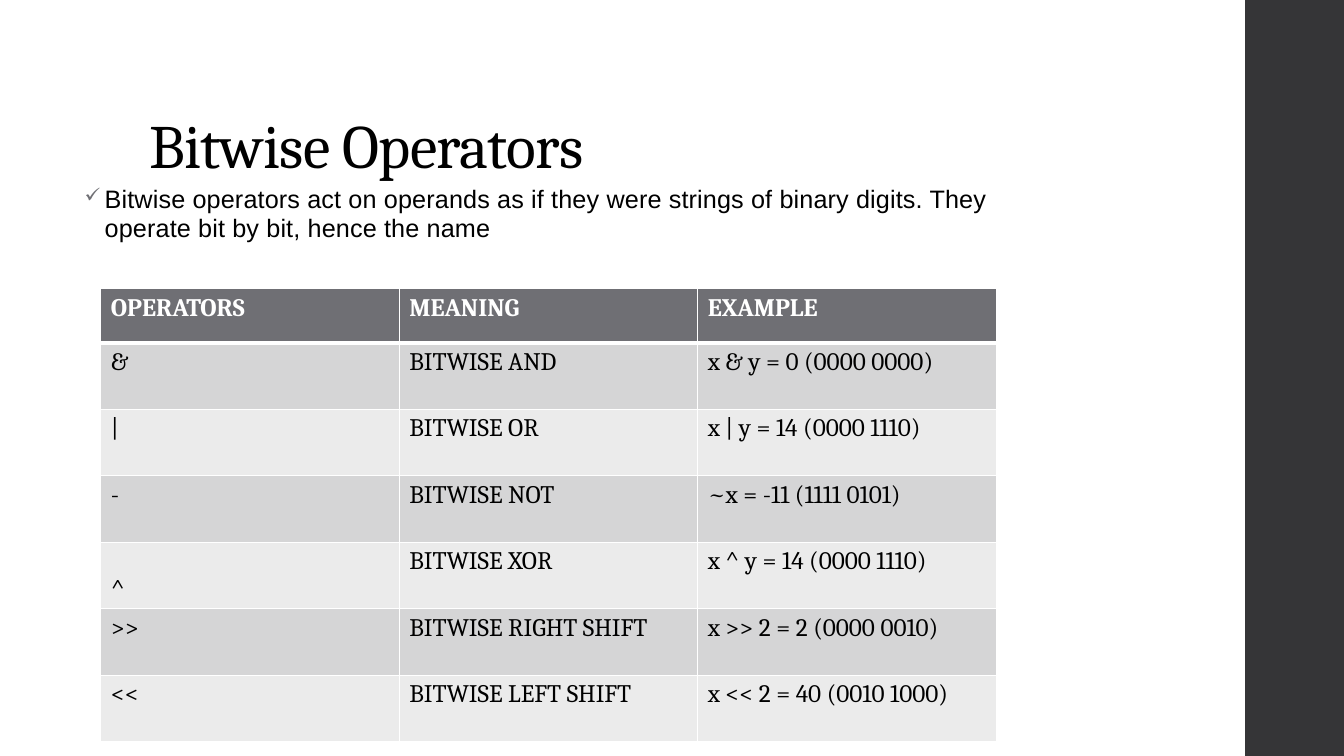
from lxml.etree import SubElement
from pptx import Presentation
from pptx.dml.color import RGBColor
from pptx.enum.shapes import MSO_SHAPE
from pptx.enum.text import MSO_ANCHOR, PP_ALIGN
from pptx.oxml.ns import qn
from pptx.util import Inches, Pt

COLORS = {
    "sidebar": "353537",
    "accent": "6F6F74",
    "dark_band": "D5D5D6",
    "light_band": "EBEBEB",
    "text": "000000",
    "white": "FFFFFF",
}
OPERATOR_ROWS = [
    ("OPERATORS", "MEANING", "EXAMPLE"),
    ("&", "BITWISE AND", "x & y = 0 (0000 0000)"),
    ("|", "BITWISE OR", "x | y = 14 (0000 1110)"),
    ("-", "BITWISE NOT", "~x = -11 (1111 0101)"),
    ("^", "BITWISE XOR", "x ^ y = 14 (0000 1110)"),
    (">>", "BITWISE RIGHT SHIFT", "x >> 2 = 2 (0000 0010)"),
    ("<<", "BITWISE LEFT SHIFT", "x << 2 = 40 (0010 1000)"),
]
HEADER_HEIGHT, ROW_HEIGHT, COLUMN_WIDTH = 0.54, 0.66, 2.96


def color(name):
    return RGBColor.from_string(COLORS[name])


def add_run(paragraph, text, size, font, color_name="text", bold=False, spacing=0):
    """Add a formatted run; spacing is in hundredths of a point."""
    run = paragraph.add_run()
    run.text = text
    run.font.size = Pt(size)
    run.font.name = font
    run.font.bold = bold
    run.font.color.rgb = color(color_name)
    if spacing:
        run.font._element.set("spc", str(spacing))


def add_sidebar(slide):
    sidebar = slide.shapes.add_shape(
        MSO_SHAPE.RECTANGLE, Inches(12.35), 0, Inches(1), Inches(7.5))
    sidebar.shadow.inherit = False
    sidebar.fill.solid()
    sidebar.fill.fore_color.rgb = color("sidebar")
    sidebar.line.fill.background()


def set_title(slide, text):
    title = slide.shapes.title
    title.left, title.top = Inches(1.38), Inches(0.4)
    title.width, title.height = Inches(10.6), Inches(1.45)
    title.text_frame.vertical_anchor = MSO_ANCHOR.BOTTOM
    paragraph = title.text_frame.paragraphs[0]
    paragraph.alignment = PP_ALIGN.LEFT
    paragraph.line_spacing = 0.9
    add_run(paragraph, text, 44, "Cambria", spacing=-50)


def add_check_bullet(paragraph):
    properties = paragraph._p.get_or_add_pPr()
    properties.set("marL", str(Inches(0.2)))
    properties.set("indent", str(Inches(-0.2)))
    bullet_color = SubElement(properties, qn("a:buClr"))
    SubElement(bullet_color, qn("a:srgbClr"), val=COLORS["accent"])
    SubElement(properties, qn("a:buSzPct"), val="80000")
    SubElement(properties, qn("a:buChar"), char="✓")


def add_description(slide, text):
    box = slide.shapes.add_textbox(
        Inches(0.74), Inches(1.79), Inches(9.4), Inches(4.24))
    box.text_frame.word_wrap = True
    paragraph = box.text_frame.paragraphs[0]
    paragraph.line_spacing = 0.95
    paragraph.space_before = Pt(14)
    paragraph.space_after = Pt(2)
    add_check_bullet(paragraph)
    add_run(paragraph, text, 18, "Arial", spacing=10)


def set_borders(cell, top, bottom):
    """Draw white borders: one point at the sides, the given points above and below."""
    properties = cell._tc.get_or_add_tcPr()
    for tag, width in (("lnL", 1), ("lnR", 1), ("lnT", top), ("lnB", bottom)):
        line = SubElement(properties, qn(f"a:{tag}"), w=str(Pt(width)))
        fill = SubElement(line, qn("a:solidFill"))
        SubElement(fill, qn("a:srgbClr"), val=COLORS["white"])


def add_operator_table(slide, rows):
    column_count = len(rows[0])
    height = HEADER_HEIGHT + ROW_HEIGHT * (len(rows) - 1)
    table = slide.shapes.add_table(
        len(rows), column_count, Inches(1), Inches(2.86),
        Inches(COLUMN_WIDTH * column_count), Inches(height)).table
    for column in table.columns:
        column.width = Inches(COLUMN_WIDTH)
    for row_index, values in enumerate(rows):
        is_header = row_index == 0
        band = "dark_band" if row_index % 2 else "light_band"
        table.rows[row_index].height = Inches(HEADER_HEIGHT if is_header else ROW_HEIGHT)
        for column_index, value in enumerate(values):
            cell = table.cell(row_index, column_index)
            set_borders(cell, 3 if row_index == 1 else 1, 3 if is_header else 1)
            cell.fill.solid()
            cell.fill.fore_color.rgb = color("accent" if is_header else band)
            if value == "^":
                cell.vertical_anchor = MSO_ANCHOR.BOTTOM
            add_run(cell.text_frame.paragraphs[0], value, 18, "Cambria",
                    "white" if is_header else "text", bold=is_header)


def main():
    presentation = Presentation()
    presentation.slide_width = Inches(13.33)
    presentation.slide_height = Inches(7.5)
    slide = presentation.slides.add_slide(presentation.slide_layouts[5])
    add_sidebar(slide)
    set_title(slide, "Bitwise Operators")
    add_description(
        slide,
        "Bitwise operators act on operands as if they were strings of binary "
        "digits. They operate bit by bit, hence the name")
    add_operator_table(slide, OPERATOR_ROWS)
    presentation.save("out.pptx")


if __name__ == "__main__":
    main()
